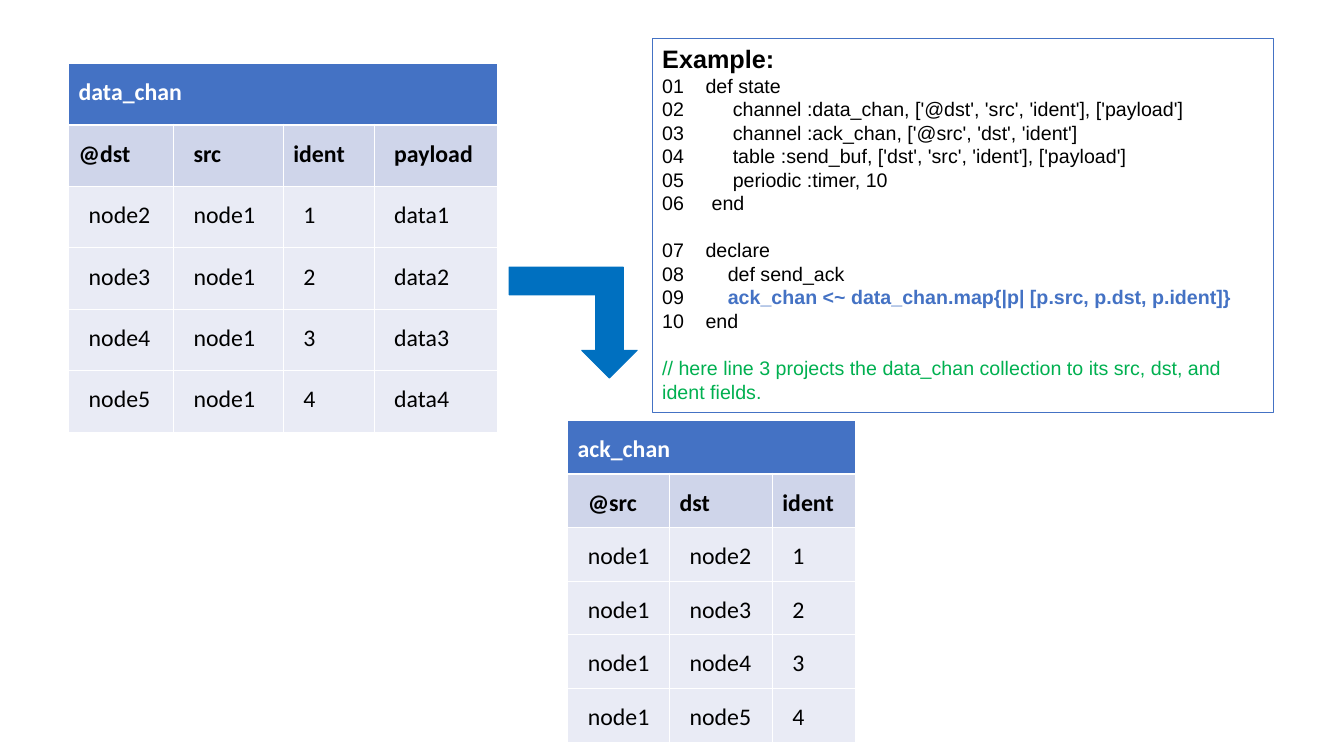
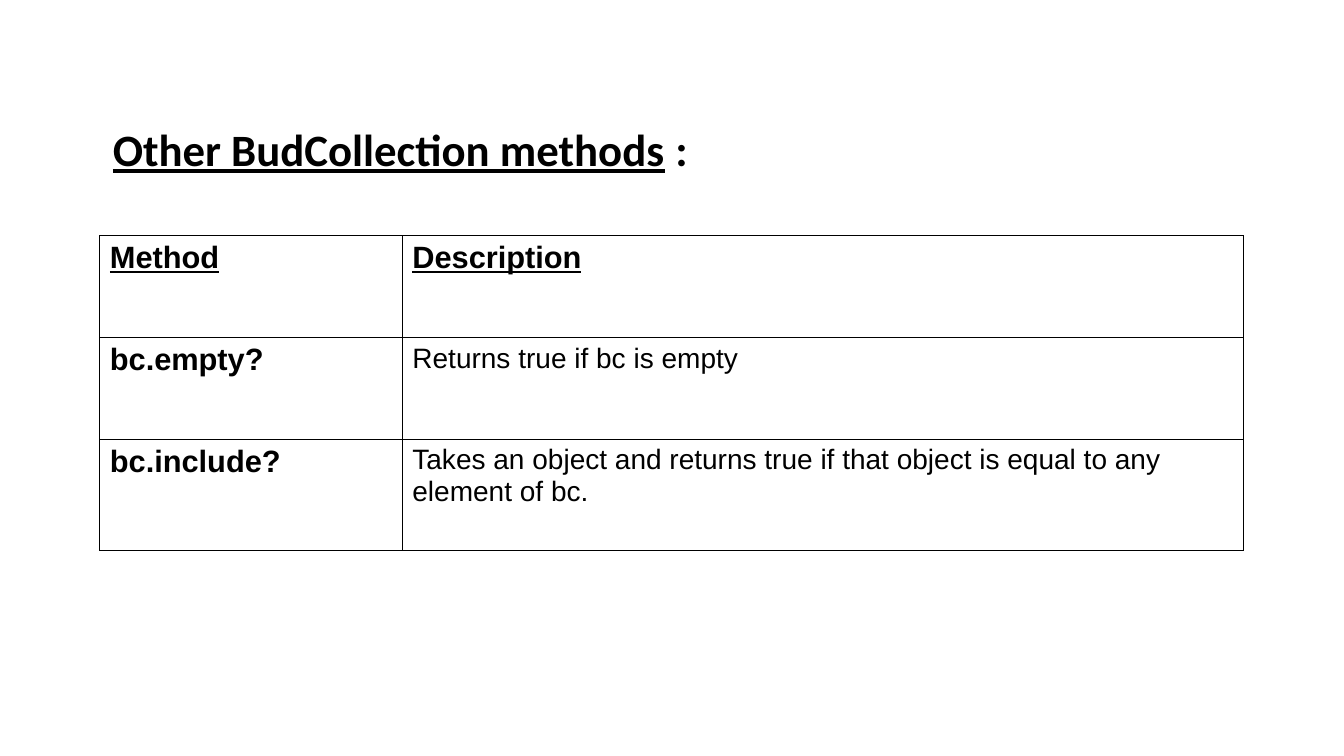
import lxml.etree
import pptx
import pptx.dml.color
import pptx.enum.shapes
import pptx.enum.text
import pptx.oxml.ns
import pptx.util

Inches = pptx.util.Inches
Pt = pptx.util.Pt

BLACK, WHITE = "000000", "FFFFFF"
BLUE, ARROW_BLUE, GREEN = "4472C4", "0070C0", "00B050"
HEADER_FILL, BODY_FILL = "CFD5EA", "E9EBF5"
INDENT = 0.1
BLANK_LINE = 16.8

DATA_ROWS = [["@dst", "src", "ident", "payload"]] + [
    [f"node{number + 1}", "node1", str(number), f"data{number}"] for number in range(1, 5)
]
ACK_ROWS = [["@src", "dst", "ident"]] + [
    ["node1", f"node{number + 1}", str(number)] for number in range(1, 5)
]
CODE_LINES = [
    ("01", 0.43, "def state"),
    ("02", 0.7, "channel :data_chan, ['@dst', 'src', 'ident'], ['payload']"),
    ("03", 0.7, "channel :ack_chan, ['@src', 'dst', 'ident']"),
    ("04", 0.7, "table :send_buf, ['dst', 'src', 'ident'], ['payload']"),
    ("05", 0.7, "periodic :timer, 10"),
    ("06", 0.49, "end"),
    ("07", 0.43, "declare"),
    ("08", 0.65, "def send_ack"),
    ("09", 0.65, "ack_chan <~ data_chan.map{|p| [p.src, p.dst, p.ident]}"),
    ("10", 0.43, "end"),
]
BLOCK_START, HIGHLIGHTED = "07", "09"
CODE_NOTE = "// here line 3 projects the data_chan collection to its src, dst, and ident fields."
METHOD_ROWS = [
    ("Method", "Description"),
    ("bc.empty?", "Returns true if bc is empty"),
    ("bc.include?", "Takes an object and returns true if that object is equal to any element of bc."),
]


def color(hex_value):
    return pptx.dml.color.RGBColor.from_string(hex_value)


def set_font(font, name, size, hex_value=BLACK, bold=False, underline=False):
    font.name = name
    font.size = Pt(size)
    font.color.rgb = color(hex_value)
    font.bold = bold
    font.underline = underline


def set_indent(paragraph, left, first=0):
    properties = paragraph._p.get_or_add_pPr()
    properties.set("marL", str(int(Inches(left))))
    properties.set("indent", str(int(Inches(first))))


def set_margins(target, horizontal, vertical):
    target.margin_left = target.margin_right = Inches(horizontal)
    target.margin_top = target.margin_bottom = Inches(vertical)


def set_borders(cell, hex_value, top=0.75, bottom=0.75):
    qualified = pptx.oxml.ns.qn
    properties = cell._tc.get_or_add_tcPr()
    sides = [("L", 0.75), ("R", 0.75), ("T", top), ("B", bottom)]
    for position, (side, width) in enumerate(sides):
        line = lxml.etree.Element(qualified(f"a:ln{side}"), w=str(int(Pt(width))))
        fill = lxml.etree.SubElement(line, qualified("a:solidFill"))
        lxml.etree.SubElement(fill, qualified("a:srgbClr"), val=hex_value)
        properties.insert(position, line)


def add_grid(slide, left, top, widths, heights):
    frame = slide.shapes.add_table(
        len(heights), len(widths), Inches(left), Inches(top), Inches(sum(widths)), Inches(sum(heights))
    )
    table = frame.table
    table.first_row = False
    table.horz_banding = False
    for column, width in zip(table.columns, widths):
        column.width = Inches(width)
    for row, height in zip(table.rows, heights):
        row.height = Inches(height)
    return table


def fill_cell(cell, text, fill, vertical_margin):
    cell.fill.solid()
    cell.fill.fore_color.rgb = color(fill)
    set_margins(cell, 0.1, vertical_margin)
    paragraph = cell.text_frame.paragraphs[0]
    paragraph.text = text
    return paragraph


def add_channel_table(slide, left, top, widths, row_height, name, rows, indented_headers):
    last = len(widths) - 1
    table = add_grid(slide, left, top, widths, [row_height] * (len(rows) + 1))
    table.cell(0, 0).merge(table.cell(0, last))
    for row_index, texts in enumerate([[name] + [""] * last] + rows):
        fill = [BLUE, HEADER_FILL, BODY_FILL][min(row_index, 2)]
        for column_index, text in enumerate(texts):
            cell = table.cell(row_index, column_index)
            paragraph = fill_cell(cell, text, fill, 0.1)
            paragraph.line_spacing = 1.15
            set_font(paragraph.font, "Calibri", 17, BLACK if row_index else WHITE, row_index < 2)
            if row_index > 1 or (row_index == 1 and text in indented_headers):
                set_indent(paragraph, INDENT)
            set_borders(
                cell, WHITE, 2.29 if row_index == 1 else 0.75, 2.29 if row_index == 0 else 0.75
            )


def add_arrow(slide, left, top, width, height):
    arrow = slide.shapes.add_shape(
        pptx.enum.shapes.MSO_SHAPE.BENT_UP_ARROW, Inches(left), Inches(top), Inches(width), Inches(height)
    )
    arrow.shadow.inherit = False
    arrow.rotation = 180
    arrow._element.spPr.xfrm.set("flipH", "1")
    arrow.fill.solid()
    arrow.fill.fore_color.rgb = color(ARROW_BLUE)
    arrow.line.color.rgb = color(ARROW_BLUE)
    arrow.line.width = Pt(0.75)


def add_code_box(slide, left, top, width, height):
    box = slide.shapes.add_shape(
        pptx.enum.shapes.MSO_SHAPE.RECTANGLE, Inches(left), Inches(top), Inches(width), Inches(height)
    )
    box.shadow.inherit = False
    box.fill.background()
    box.line.color.rgb = color(BLUE)
    box.line.width = Pt(0.75)
    frame = box.text_frame
    frame.word_wrap = True
    frame.vertical_anchor = pptx.enum.text.MSO_ANCHOR.TOP
    set_margins(frame, 0.1, 0.05)

    heading = frame.paragraphs[0]
    heading.text = "Example:"
    set_font(heading.font, "Arial", 18, bold=True)
    for number, offset, code in CODE_LINES:
        paragraph = frame.add_paragraph()
        set_indent(paragraph, offset, -offset)
        set_font(paragraph.font, "Arial", 14)
        paragraph.add_run().text = number + "\t"
        code_run = paragraph.add_run()
        code_run.text = code
        if number == HIGHLIGHTED:
            code_run.font.bold = True
            code_run.font.color.rgb = color(BLUE)
        if number == BLOCK_START:
            paragraph.space_before = Pt(BLANK_LINE)
    note = frame.add_paragraph()
    note.text = CODE_NOTE
    note.space_before = Pt(BLANK_LINE)
    set_font(note.font, "Arial", 14, GREEN)
    for paragraph in frame.paragraphs:
        paragraph.alignment = pptx.enum.text.PP_ALIGN.LEFT


def add_title(slide, left, top, width, height):
    title = slide.shapes.add_textbox(Inches(left), Inches(top), Inches(width), Inches(height))
    frame = title.text_frame
    frame.word_wrap = True
    set_margins(frame, 0.1, 0.1)
    paragraph = frame.paragraphs[0]
    set_font(paragraph.font, "Calibri", 32, bold=True)
    for text, underline in [("Other BudCollection methods", True), (" :", False)]:
        run = paragraph.add_run()
        run.text = text
        run.font.underline = underline


def add_method_table(slide, left, top, widths, heights):
    table = add_grid(slide, left, top, widths, heights)
    for row_index, texts in enumerate(METHOD_ROWS):
        for column_index, text in enumerate(texts):
            cell = table.cell(row_index, column_index)
            paragraph = fill_cell(cell, text, WHITE, 0.05)
            header = row_index == 0
            strong = header or column_index == 0
            set_font(paragraph.font, "Arial", 22 if strong else 20, bold=strong, underline=header)
            set_borders(cell, BLACK)


def build_projection_slide(slide):
    add_channel_table(
        slide, 0.68, 0.63, [1.04, 1.09, 0.9, 1.22], 0.61, "data_chan", DATA_ROWS, {"src", "payload"}
    )
    add_channel_table(slide, 5.63, 4.17, [1.01, 1.02, 0.83], 0.53, "ack_chan", ACK_ROWS, {"@src"})
    add_arrow(slide, 5.05, 2.65, 1.27, 1.1)
    add_code_box(slide, 6.47, 0.38, 6.16, 3.71)


def build_methods_slide(slide):
    add_method_table(slide, 0.99, 2.34, [3, 8.34], [1.01, 1.01, 1.1])
    add_title(slide, 1.02, 1.11, 10.71, 0.74)


def main():
    presentation = pptx.Presentation()
    presentation.slide_width = Inches(13.33)
    presentation.slide_height = Inches(7.5)
    blank_layout = presentation.slide_layouts[6]
    for build in (build_projection_slide, build_methods_slide):
        build(presentation.slides.add_slide(blank_layout))
    presentation.save("out.pptx")


if __name__ == "__main__":
    main()
